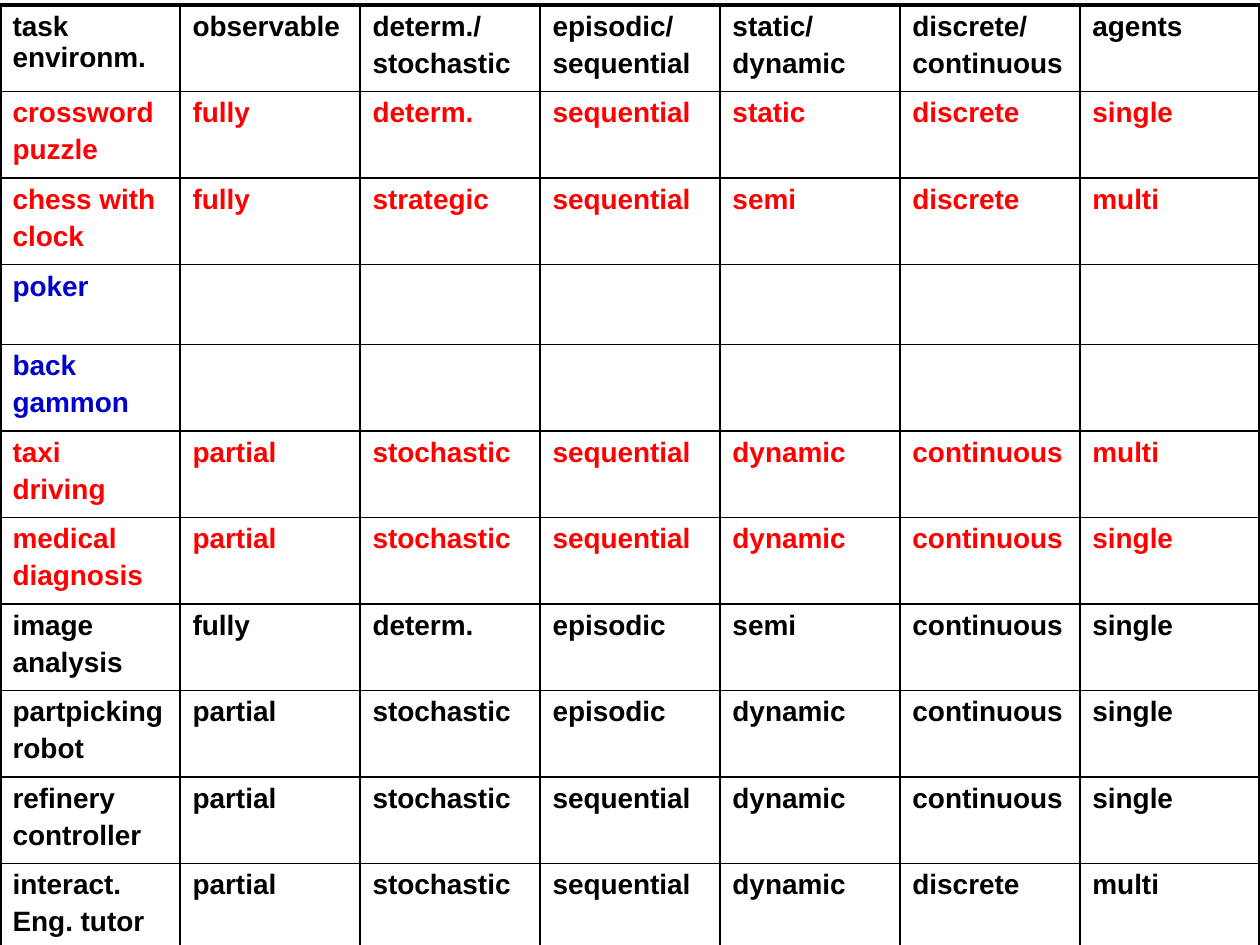
from dataclasses import dataclass

from lxml import etree
from pptx import Presentation, util as u
from pptx.dml.color import RGBColor
from pptx.oxml import ns

BLACK = RGBColor(0x00, 0x00, 0x00)
RED = RGBColor(0xFF, 0x00, 0x00)
BLUE = RGBColor(0x00, 0x00, 0xCC)

WIDTH, HEIGHT = u.Cm(25.4), u.Cm(19.05)
TABLE_TOP = u.Cm(0.1)
POKER_HEIGHT = u.Cm(1.61)
OUTER, INNER = u.Pt(2.21), u.Pt(0.96)


@dataclass(frozen=True)
class Environment:
    colour: RGBColor
    name: str
    properties: tuple[str, ...] = ("",) * 6
    height: u.Length | None = None


def env(colour: RGBColor, name: str, properties: str) -> Environment:
    return Environment(colour, name, tuple(properties.split(" ")))


ROWS = [
    env(BLACK, "task environm.",
        "observable determ./\nstochastic episodic/\nsequential "
        "static/\ndynamic discrete/\ncontinuous agents"),
    env(RED, "crossword\npuzzle", "fully determ. sequential static discrete single"),
    env(RED, "chess with\nclock", "fully strategic sequential semi discrete multi"),
    Environment(BLUE, "poker", height=POKER_HEIGHT),
    Environment(BLUE, "back\ngammon"),
    env(RED, "taxi\ndriving", "partial stochastic sequential dynamic continuous multi"),
    env(RED, "medical\ndiagnosis", "partial stochastic sequential dynamic continuous single"),
    env(BLACK, "image\nanalysis", "fully determ. episodic semi continuous single"),
    env(BLACK, "partpicking\nrobot", "partial stochastic episodic dynamic continuous single"),
    env(BLACK, "refinery\ncontroller", "partial stochastic sequential dynamic continuous single"),
    env(BLACK, "interact.\nEng. tutor", "partial stochastic sequential dynamic discrete multi"),
]


def write(tf, content: str, *, colour: RGBColor, size: float = 16,
          font: str = "Arial", bold: bool = True, before: float = 3.2) -> None:
    for i, line in enumerate(content.split("\n")):
        p = tf.add_paragraph() if i else tf.paragraphs[0]
        p.space_before = u.Pt(before)
        p.font.size = u.Pt(size)
        if line:
            r = p.add_run()
            r.text = line
            r.font.name, r.font.size, r.font.bold = font, u.Pt(size), bold
            r.font.color.rgb = colour


def set_borders(cell, widths: dict[str, int]) -> None:
    tc_pr = cell._tc.get_or_add_tcPr()
    for i, (side, width) in enumerate(widths.items()):
        ln = etree.Element(ns.qn(f"a:{side}"), w=str(int(width)))
        fill = etree.SubElement(ln, ns.qn("a:solidFill"))
        etree.SubElement(fill, ns.qn("a:srgbClr"), val=str(BLACK))
        tc_pr.insert(i, ln)


def add_environment_table(s, rows: list[Environment]) -> None:
    n_rows, n_cols = len(rows), len(rows[0].properties) + 1
    table = s.shapes.add_table(n_rows, n_cols, 0, TABLE_TOP, WIDTH, HEIGHT).table
    table.first_row = table.horz_banding = False
    for column in table.columns:
        column.width = u.Emu(WIDTH // n_cols)
    row_height = u.Emu((HEIGHT - POKER_HEIGHT) // (n_rows - 1))
    for i, row in enumerate(rows):
        table.rows[i].height = row.height or row_height
        for j, content in enumerate((row.name, *row.properties)):
            cell = table.cell(i, j)
            cell.fill.background()
            write(cell.text_frame, content, colour=row.colour)
            set_borders(cell, {
                "lnL": OUTER if j == 0 else INNER,
                "lnR": OUTER if j == n_cols - 1 else INNER,
                "lnT": OUTER if i == 0 else INNER,
                "lnB": OUTER if i == n_rows - 1 else INNER,
            })


prs = Presentation()
prs.slide_width, prs.slide_height = WIDTH, HEIGHT
s = prs.slides.add_slide(prs.slide_layouts[6])
add_environment_table(s, ROWS)
prs.save("out.pptx")
